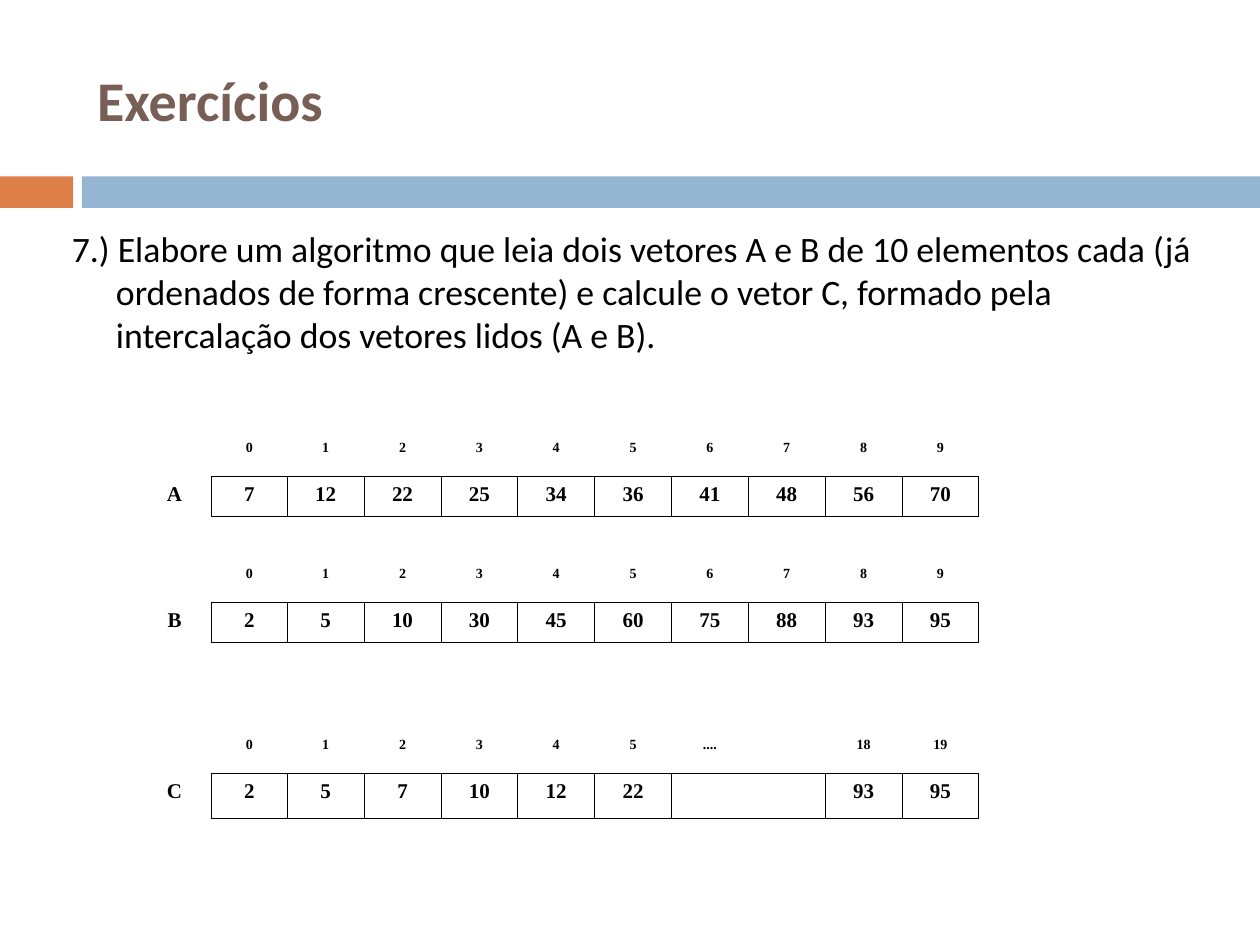
from dataclasses import dataclass

import pptx
import pptx.dml.color
import pptx.enum.shapes
import pptx.enum.text
import pptx.oxml
import pptx.oxml.ns
import pptx.oxml.xmlchemy
import pptx.util
from pptx.util import Inches, Pt

COLORS = {"title": "775F55", "text": "000000", "orange": "DD8047",
          "blue": "94B6D2", "border": "000000"}
PLAIN_TABLE_STYLE = "{2D5ABB26-0587-4C30-8999-92F81FD0307C}"
COLUMNS = [0.59, 0.60] + [0.61] * 9
ROWS = [0.34, 0.32, 0.34, 0.34, 0.32, 0.35, 0.35, 0.34, 0.36]
QUESTION = ("7.) Elabore um algoritmo que leia dois vetores A e B de 10 elementos "
            "cada (já ordenados de forma crescente) e calcule o vetor C, formado "
            "pela intercalação dos vetores lidos (A e B).")


@dataclass
class Band:
    left: float
    width: float
    color: str


@dataclass
class Vector:
    name: str
    row: int
    indices: list[str]
    values: list[str]


DIGITS = [str(i) for i in range(10)]
BANDS = [Band(0, 0.58, "orange"), Band(0.65, 9.35, "blue")]
VECTORS = [
    Vector("A", 0, DIGITS, "7 12 22 25 34 36 41 48 56 70".split()),
    Vector("B", 3, DIGITS, "2 5 10 30 45 60 75 88 93 95".split()),
    Vector("C", 7, DIGITS[:6] + ["....", "", "18", "19"],
           "2 5 7 10 12 22".split() + ["", "", "93", "95"]),
]


def rgb(name: str) -> pptx.dml.color.RGBColor:
    return pptx.dml.color.RGBColor.from_string(COLORS[name])


def style_run(r, font: str, size: float, color: str, bold: bool = False) -> None:
    r.font.name = font
    r.font.size = Pt(size)
    r.font.bold = bold
    r.font.color.rgb = rgb(color)


def place(sp, left: float, top: float, width: float, height: float) -> None:
    sp.left, sp.top = Inches(left), Inches(top)
    sp.width, sp.height = Inches(width), Inches(height)


def fill_placeholder(sp, text: str, size: float, color: str, bold: bool = False):
    """Put one left-aligned paragraph in a placeholder and return it."""
    tf = sp.text_frame
    tf.text = text
    tf.word_wrap = True
    tf.auto_size = pptx.enum.text.MSO_AUTO_SIZE.NONE
    p = tf.paragraphs[0]
    p.alignment = pptx.enum.text.PP_ALIGN.LEFT
    style_run(p.runs[0], "Calibri", size, color, bold)
    return p


def draw_band(s, band: Band) -> None:
    sp = s.shapes.add_shape(pptx.enum.shapes.MSO_SHAPE.RECTANGLE, Inches(band.left),
                            Inches(1.4), Inches(band.width), Inches(0.25))
    sp.shadow.inherit = False
    sp.fill.solid()
    sp.fill.fore_color.rgb = rgb(band.color)
    sp.line.fill.background()


def write_cell(cell, text: str, size: float) -> None:
    p = cell.text_frame.paragraphs[0]
    p.text = text
    p.alignment = pptx.enum.text.PP_ALIGN.CENTER
    for r in p.runs:
        style_run(r, "Times New Roman", size, "text", bold=True)


def draw_borders(cell, sides: str) -> None:
    """Add thin lines on the given sides, in the order L, R, T, B."""
    for side in sides:
        cell._tc.get_or_add_tcPr().append(pptx.oxml.parse_xml(
            f'<a:ln{side} {pptx.oxml.ns.nsdecls("a")} w="{Pt(0.45)}"><a:solidFill>'
            f'<a:srgbClr val="{COLORS["border"]}"/></a:solidFill></a:ln{side}>'))


def draw_vector(table, vector: Vector) -> None:
    value_row = vector.row + 1
    write_cell(table.cell(value_row, 0), vector.name, 12)
    for col, (index, value) in enumerate(zip(vector.indices, vector.values), 1):
        write_cell(table.cell(vector.row, col), index, 8)
        cell = table.cell(value_row, col)
        write_cell(cell, value, 12)
        draw_borders(cell, "LRTB")


def add_vector_table(s) -> None:
    frame = s.shapes.add_table(len(ROWS), len(COLUMNS), Inches(1.09), Inches(3.44),
                               Inches(sum(COLUMNS)), Inches(sum(ROWS)))
    table = frame.table
    table.first_row = table.horz_banding = False
    table._tbl.tblPr.find(pptx.oxml.ns.qn("a:tableStyleId")).text = PLAIN_TABLE_STYLE
    for column, width in zip(table.columns, COLUMNS):
        column.width = Inches(width)
    for row, height in zip(table.rows, ROWS):
        row.height = Inches(height)
    for vector in VECTORS:
        draw_vector(table, vector)
    table.cell(8, 7).merge(table.cell(8, 8))
    for cell in table.iter_cells():
        cell.margin_left = cell.margin_right = Inches(0.08)
        cell.margin_top = cell.margin_bottom = Inches(0.05)
        cell.fill.background()
        if not cell.text:  # a small end mark keeps empty rows from growing
            cell.text_frame.paragraphs[0]._p.append(pptx.oxml.parse_xml(
                f'<a:endParaRPr {pptx.oxml.ns.nsdecls("a")} sz="800"/>'))


def main() -> None:
    prs = pptx.Presentation()
    prs.slide_width, prs.slide_height = Inches(10), Inches(7.5)
    s = prs.slides.add_slide(prs.slide_layouts[1])
    for band in BANDS:
        draw_band(s, band)

    title = s.shapes.title
    place(title, 0.67, 0.25, 8.92, 1.08)
    fill_placeholder(title, "Exercícios", 32, "title", bold=True)
    title.text_frame.vertical_anchor = pptx.enum.text.MSO_ANCHOR.MIDDLE

    body = s.placeholders[1]
    place(body, 0.47, 1.75, 9.12, 1.53)
    p = fill_placeholder(body, QUESTION, 20.4, "text")
    p.space_before = Pt(7)
    pPr = p._p.get_or_add_pPr()
    pPr.set("marL", str(Inches(0.35)))
    pPr.set("indent", str(Inches(-0.35)))
    pPr.append(pptx.oxml.parse_xml(f'<a:buNone {pptx.oxml.ns.nsdecls("a")}/>'))

    add_vector_table(s)
    prs.save("out.pptx")


if __name__ == "__main__":
    main()
